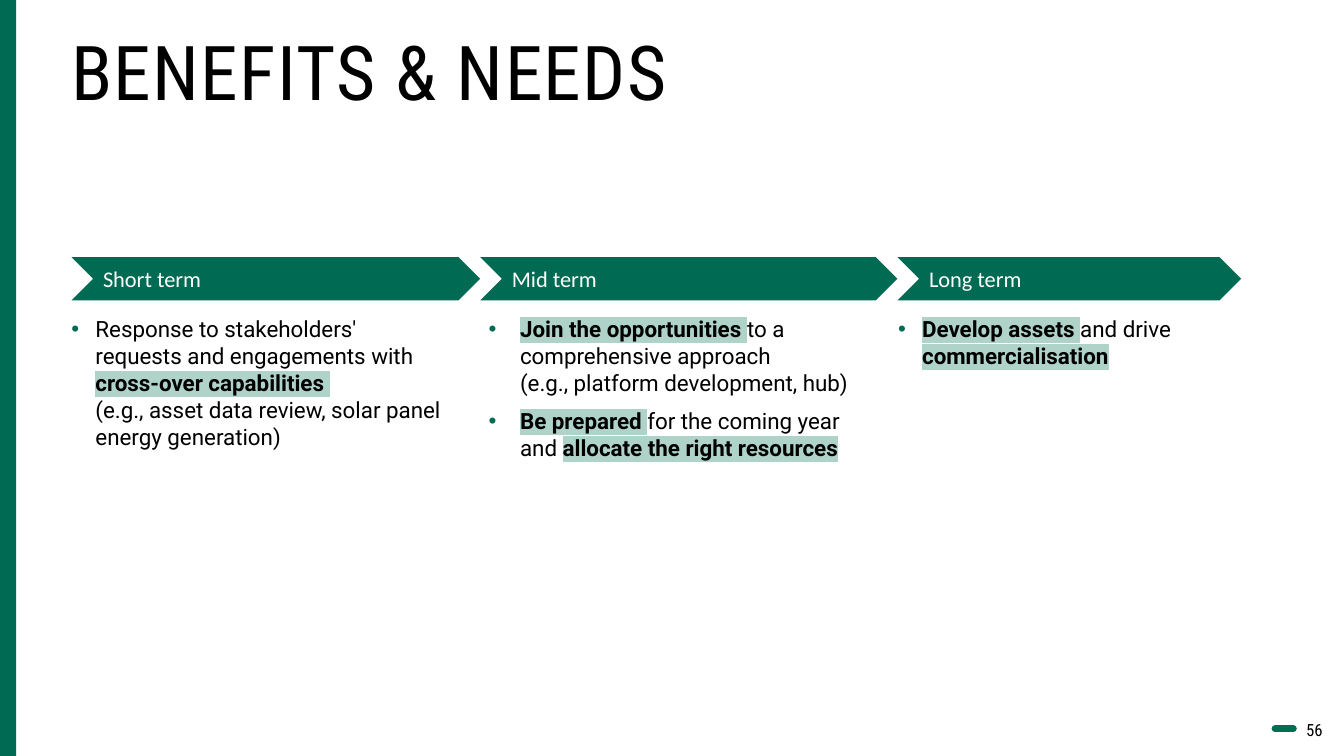
from copy import deepcopy

from lxml import etree
from pptx import Presentation
from pptx.dml.color import RGBColor
from pptx.enum.shapes import MSO_CONNECTOR, MSO_SHAPE
from pptx.enum.text import MSO_ANCHOR, PP_ALIGN
from pptx.oxml.ns import qn
from pptx.util import Pt

RECT, CHEVRON = MSO_SHAPE.RECTANGLE, MSO_SHAPE.CHEVRON
STRAIGHT = MSO_CONNECTOR.STRAIGHT
TOP, MIDDLE = MSO_ANCHOR.TOP, MSO_ANCHOR.MIDDLE
LEFT, RIGHT = PP_ALIGN.LEFT, PP_ALIGN.RIGHT


def color(hex_string):
    return RGBColor.from_string(hex_string)


def add_text(paragraph, text, *, font, size, fill, bold=False, highlight=None, spacing=None):
    """Add formatted text; a newline becomes a line break."""
    for index, line in enumerate(text.split("\n")):
        if index:
            paragraph.add_line_break()
            line_break = paragraph._p[-1]
            line_break.append(deepcopy(run._r.rPr))
        if not line:
            continue
        run = paragraph.add_run()
        run.text = line
        run.font.size = Pt(size)
        run.font.bold = bold
        run.font.color.rgb = color(fill)
        props = run._r.get_or_add_rPr()
        if spacing:
            props.set("spc", str(spacing * 100))
        if highlight:
            marker = etree.SubElement(props, qn("a:highlight"))
            etree.SubElement(marker, qn("a:srgbClr")).set("val", highlight)
        run.font.name = font


class Deck:
    GREEN, MARKER, BLACK, WHITE = "006A52", "AFD3C9", "000000", "FFFFFF"
    PAGE_LINE = "006E51"
    HEADING, BODY, LABEL = "Roboto Condensed", "Roboto", "Calibri"
    BODY_SIZE = 16

    def __init__(self, width, height):
        self.prs = Presentation()
        self.prs.slide_width, self.prs.slide_height = Pt(width), Pt(height)
        self.slide = self.prs.slides.add_slide(self.prs.slide_layouts[6])

    def shape(self, kind, x, y, w, h):
        shape = self.slide.shapes.add_shape(kind, Pt(x), Pt(y), Pt(w), Pt(h))
        shape.shadow.inherit = False
        shape.fill.solid()
        shape.fill.fore_color.rgb = color(self.GREEN)
        shape.line.fill.background()
        return shape

    def chevron(self, x, y, w, h, label):
        frame = self.shape(CHEVRON, x, y, w, h).text_frame
        frame.vertical_anchor = MIDDLE
        frame.paragraphs[0].alignment = LEFT
        add_text(frame.paragraphs[0], label, font=self.LABEL, size=self.BODY_SIZE, fill=self.WHITE)

    def text_frame(self, x, y, w, h, inset=True):
        frame = self.slide.shapes.add_textbox(Pt(x), Pt(y), Pt(w), Pt(h)).text_frame
        frame.word_wrap = True
        frame.vertical_anchor = TOP
        if not inset:
            frame.margin_left = frame.margin_right = 0
            frame.margin_top = frame.margin_bottom = 0
        return frame

    def title(self, x, y, w, h, text):
        paragraph = self.text_frame(x, y, w, h, inset=False).paragraphs[0]
        paragraph.line_spacing = 0.85
        add_text(paragraph, text, font=self.HEADING, size=54, fill=self.BLACK, spacing=1)

    def bullets(self, x, y, w, h, items, margin, hanging):
        frame = self.text_frame(x, y, w, h, inset=False)
        for index, item in enumerate(items):
            paragraph = frame.add_paragraph() if index else frame.paragraphs[0]
            props = paragraph._p.get_or_add_pPr()
            props.set("marL", str(Pt(margin)))
            props.set("indent", str(-Pt(hanging)))
            bullet_color = etree.SubElement(props, qn("a:buClr"))
            etree.SubElement(bullet_color, qn("a:srgbClr")).set("val", self.GREEN)
            etree.SubElement(props, qn("a:buFont")).set("typeface", "Arial")
            etree.SubElement(props, qn("a:buChar")).set("char", "•")
            paragraph.space_after = Pt(8)
            for text, key in item:
                add_text(paragraph, text, font=self.BODY, size=self.BODY_SIZE, fill=self.BLACK,
                         bold=key, highlight=self.MARKER if key else None)

    def page_number(self, x, y, w, h, number):
        paragraph = self.text_frame(x, y, w, h).paragraphs[0]
        paragraph.alignment = RIGHT
        add_text(paragraph, number, font=self.HEADING, size=12, fill=self.BLACK)

    def dash(self, x1, x2, y):
        line = self.slide.shapes.add_connector(STRAIGHT, Pt(x1), Pt(y), Pt(x2), Pt(y))
        line.line.color.rgb = color(self.PAGE_LINE)
        line.line.width = Pt(5)
        line.line._get_or_add_ln().set("cap", "rnd")
        etree.SubElement(line._element.spPr, qn("a:effectLst"))


# Each term: label, chevron x and width, text x, bullet margin and hanging, items of (text, is key)
TERMS = [
    ("Short term", 51, 292, 51, 17.2, 17.2, [
        [("Response to stakeholders' requests and engagements with ", False),
         ("cross-over capabilities \n", True),
         ("(e.g., asset data review, solar panel energy generation)", False)],
    ]),
    ("Mid term", 343, 298, 346.5, 25, 22.5, [
        [("Join the opportunities ", True),
         ("to a comprehensive approach \n(e.g., platform development, hub)", False)],
        [("Be prepared ", True),
         ("for the coming year and ", False),
         ("allocate the right resources", True)],
    ]),
    ("Long term", 641, 245.5, 641.5, 17.2, 17.2, [
        [("Develop assets ", True),
         ("and drive ", False),
         ("commercialisation", True)],
    ]),
]


def main():
    deck = Deck(960, 540)

    # Side band, page number and title
    deck.shape(RECT, 0, 0, 11.5, 540)
    deck.page_number(895.7, 510.5, 56.2, 21.6, "56")
    deck.dash(923.8, 910.8, 520.6)
    deck.title(51, 28, 628.5, 55.5, "BENEFITS & NEEDS")

    # Timeline with the points for each term
    for label, arrow_x, arrow_width, text_x, margin, hanging, items in TERMS:
        deck.bullets(text_x, 225.4, 266.4, 160, items, margin, hanging)
        deck.chevron(arrow_x, 183.6, arrow_width, 31, label)

    deck.prs.save("out.pptx")


if __name__ == "__main__":
    main()
